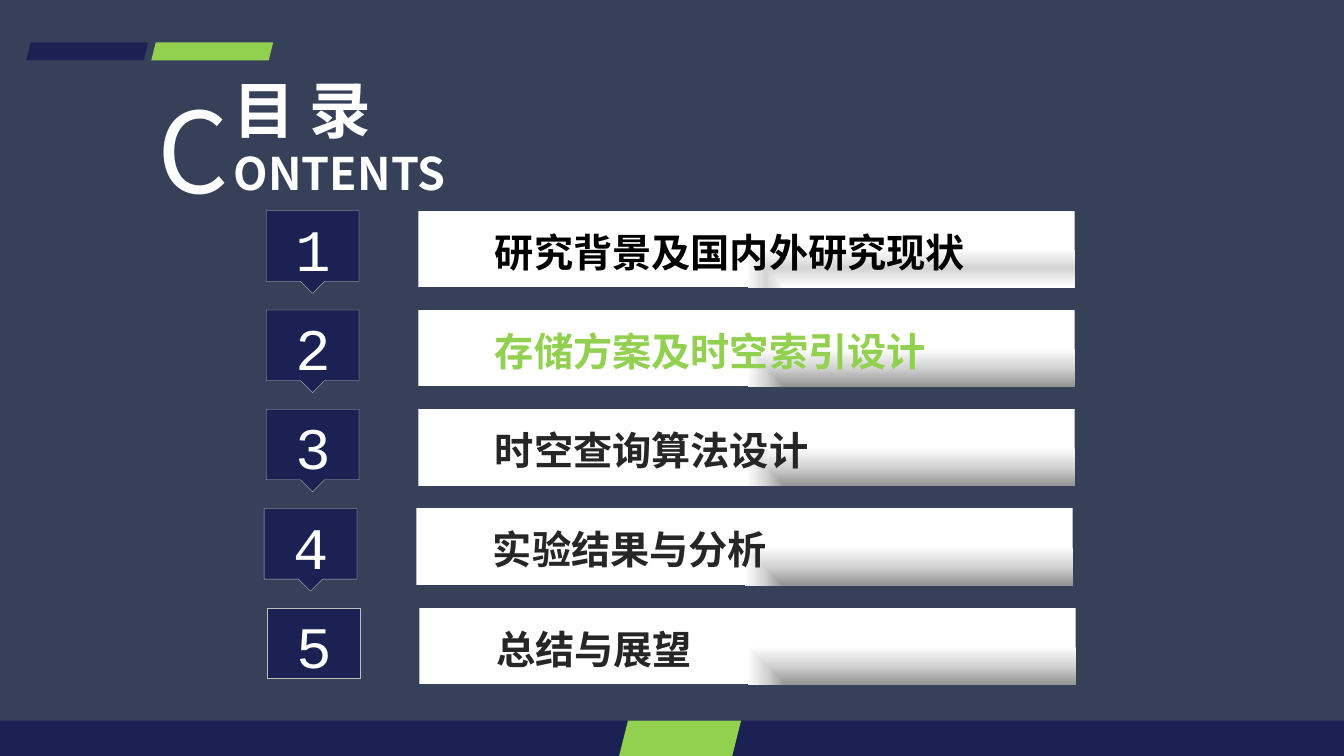
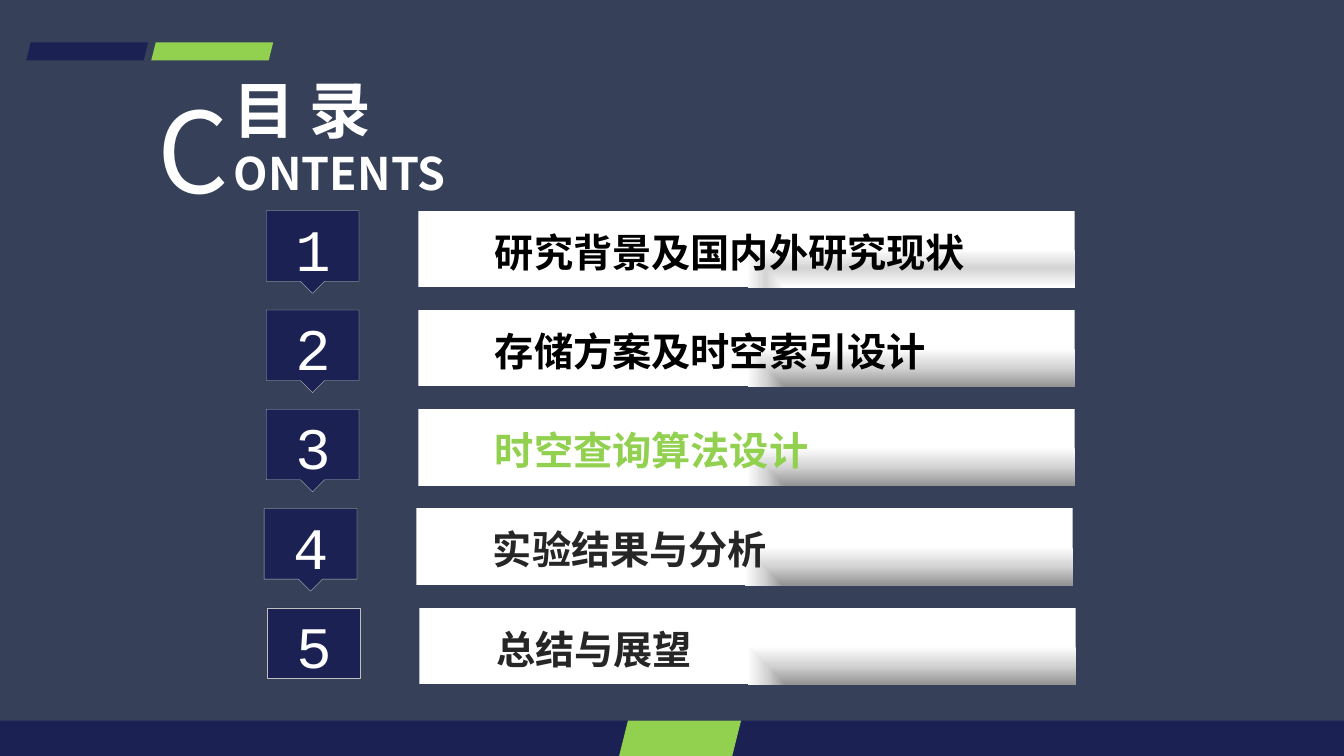
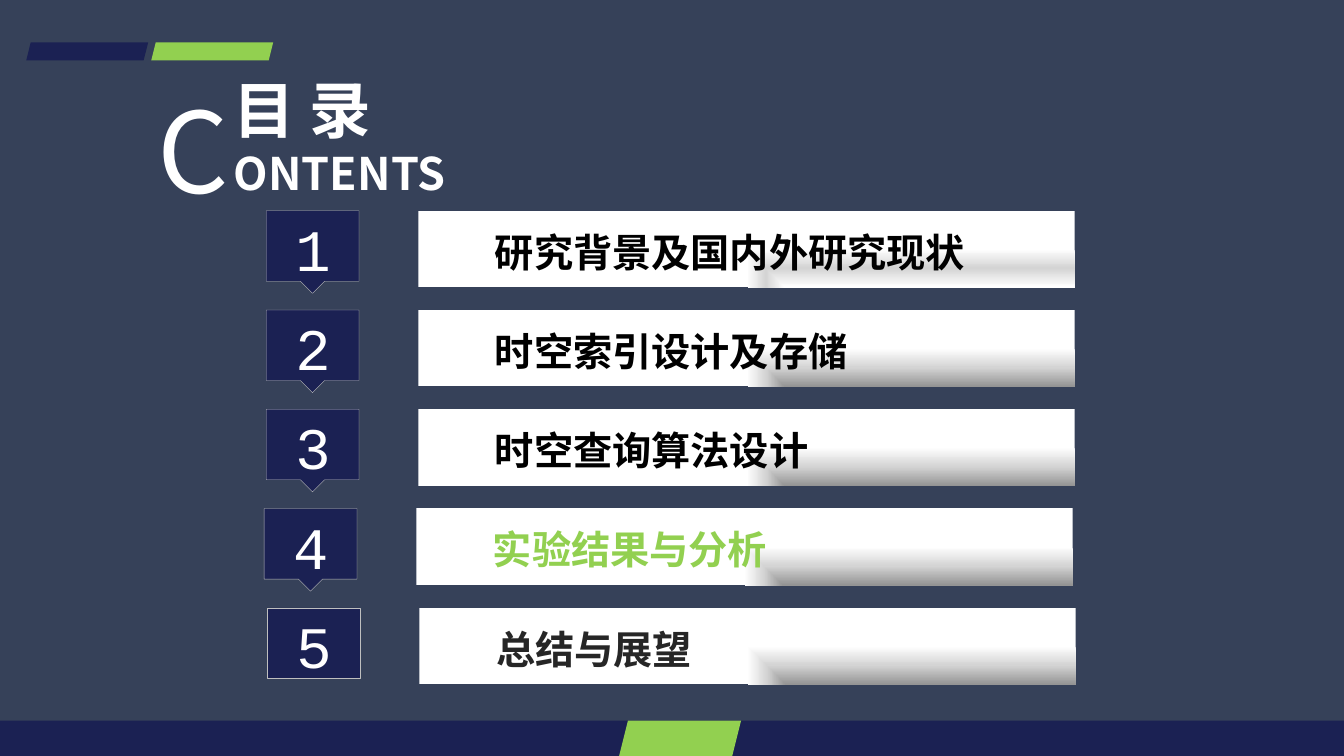
from dataclasses import dataclass

from lxml import etree
from pptx import Presentation
from pptx import util as u
from pptx.dml.color import RGBColor
from pptx.enum import shapes, text
from pptx.oxml import parse_xml
from pptx.oxml.ns import nsdecls, qn


@dataclass(frozen=True)
class Theme:
    back: str = "364159"
    navy: str = "1B2153"
    green: str = "92D050"
    white: str = "FFFFFF"
    past: str = "000000"
    ahead: str = "262626"
    edge: str = "BFBFBF"
    shade: str = "949494"
    mid_shade: str = "D4D4D4"
    font: str = "Noto Sans CJK SC"
    digit_font: str = "Courier New"
    initial: int = 80
    title: int = 44
    subtitle: int = 32
    digit: int = 42
    label: int = 28


@dataclass(frozen=True)
class Box:
    x: float
    y: float
    w: float
    h: float

    def inner(self, dx, dy, w, h):
        """A box of size w by h, offset from this one's corner."""
        return Box(self.x + dx, self.y + dy, w, h)

    def emu(self):
        return [u.Inches(v) for v in (self.x, self.y, self.w, self.h)]


T = Theme()
PAGE = Box(0, 0, 13.33, 7.5)
ROW_H = 0.76
ROW_NUDGES = (0, 0, 0, -0.02, 0.01)
WIDE_INSETS = (0.13, 0.07)
SLANT = 0.25


# Basic parts
def rgb(value):
    return RGBColor.from_string(value)


def paint(sp, fill, line=None):
    sp.shadow.inherit = False
    sp.fill.solid()
    sp.fill.fore_color.rgb = rgb(fill)
    if line:
        sp.line.color.rgb = rgb(line)
        sp.line.width = u.Pt(0.25)
    else:
        sp.line.fill.background()


def add_block(s, box, fill, line=None, slanted=False):
    kind = shapes.MSO_SHAPE.PARALLELOGRAM if slanted else shapes.MSO_SHAPE.RECTANGLE
    sp = s.shapes.add_shape(kind, *box.emu())
    if slanted:
        sp.adjustments[0] = SLANT
    paint(sp, fill, line)
    return sp


def add_text(s, box, words, size, color, font=T.font, bold=False,
             insets=WIDE_INSETS, wrap=True, anchor=text.MSO_ANCHOR.TOP):
    tf = s.shapes.add_textbox(*box.emu()).text_frame
    tf.word_wrap = wrap
    tf.vertical_anchor = anchor
    tf.margin_left = tf.margin_right = u.Inches(insets[0])
    tf.margin_top = tf.margin_bottom = u.Inches(insets[1])
    p = tf.paragraphs[0]
    p.add_run().text = words
    p.font.size, p.font.bold, p.font.name = u.Pt(size), bold, font
    p.font.color.rgb = rgb(color)
    # East Asian glyphs take the same typeface
    props = p._p.pPr.find(qn("a:defRPr"))
    etree.SubElement(props, qn("a:ea")).set("typeface", font)
    return p


def shade_corner(sp, colors):
    """Fill a shape with a gradient that spreads from its lower right corner."""
    stops = "".join(
        f'<a:gs pos="{i * 50000}"><a:srgbClr val="{c}"/></a:gs>'
        for i, c in enumerate(colors))
    grad = parse_xml(
        f'<a:gradFill {nsdecls("a")} rotWithShape="1"><a:gsLst>{stops}</a:gsLst>'
        '<a:path path="rect"><a:fillToRect l="100000" t="100000"/></a:path>'
        '<a:tileRect r="-100000" b="-100000"/></a:gradFill>')
    props = sp._element.spPr
    props.replace(props.find(qn("a:solidFill")), grad)


# Regions
def add_top_marks(s, box):
    mark_w = 1.21
    for dx, color in ((box.w - mark_w, T.green), (0, T.navy)):
        add_block(s, box.inner(dx, 0, mark_w, box.h), color, slanted=True)


def add_footer(s, box):
    add_block(s, box, T.navy)
    add_block(s, box.inner(6.14, 0, 1.21, box.h), T.green, slanted=True)


def add_heading(s, box):
    middle = text.MSO_ANCHOR.MIDDLE
    p = add_text(s, box.inner(0.76, 0, 2.74, box.h), "目 录 ", T.title, T.white,
                 bold=True, anchor=middle)
    r = p.add_run()
    r.text = "ONTENTS"
    r.font.size = u.Pt(T.subtitle)
    add_text(s, box.inner(0, 0.29, 0.85, 0.84), "C", T.initial, T.white, anchor=middle)


def add_number(s, box, number, pointed):
    """A numbered tile, with a tip pointing to the next row if there is one."""
    if pointed:
        mid, tip = box.w / 2, 0.12
        outline = [(box.w, 0), (box.w, box.h), (mid + tip, box.h),
                   (mid, box.h + tip), (mid - tip, box.h), (0, box.h)]
        points = [(u.Inches(box.x + x), u.Inches(box.y + y)) for x, y in outline]
        pen = s.shapes.build_freeform(u.Inches(box.x), u.Inches(box.y))
        pen.add_line_segments(points, close=True)
        paint(pen.convert_to_shape(), T.navy, T.edge)
    else:
        add_block(s, box, T.navy, T.edge)
    add_text(s, box.inner(0.19, -0.03, 0.55, 0.76), str(number), T.digit, T.white,
             font=T.digit_font, insets=(0.1, 0.05), wrap=False)


def add_row(s, box, number, words, color, last):
    add_number(s, box.inner(0, 0, 0.92, 0.7), number, pointed=not last)
    bar = add_block(s, box.inner(1.51, 0, 6.51, box.h), T.white)
    corner = T.white if number == 1 else T.shade
    shade_corner(bar, (corner, T.mid_shade, T.white))
    add_text(s, box.inner(2.14, 0.1, 5.5, 0.61), words, T.label, color, bold=True)


def add_agenda(s, box, topics, current):
    pitch = (box.h - ROW_H) / (len(topics) - 1)
    for number, (words, nudge) in enumerate(zip(topics, ROW_NUDGES), start=1):
        color = (T.green if number == current
                 else T.past if number < current else T.ahead)
        row = box.inner(nudge, (number - 1) * pitch, box.w, ROW_H)
        add_row(s, row, number, words, color, last=number == len(topics))


def add_contents_slide(prs, topics, current):
    s = prs.slides.add_slide(prs.slide_layouts[6])
    s.background.fill.solid()
    s.background.fill.fore_color.rgb = rgb(T.back)
    add_agenda(s, PAGE.inner(2.64, 2.09, 8.02, 4.7), topics, current)
    add_heading(s, PAGE.inner(1.43, 0.77, 3.5, 1.16))
    add_top_marks(s, PAGE.inner(0.26, 0.42, 2.45, 0.18))
    add_footer(s, PAGE.inner(0, 7.15, PAGE.w, 0.35))


def main():
    prs = Presentation()
    prs.slide_width, prs.slide_height = u.Inches(PAGE.w), u.Inches(PAGE.h)
    first = "研究背景及国内外研究现状"
    rest = ["时空查询算法设计", "实验结果与分析", "总结与展望"]
    storage_first, index_first = "存储方案及时空索引设计", "时空索引设计及存储"
    for current, second in ((2, storage_first), (3, storage_first), (4, index_first)):
        add_contents_slide(prs, [first, second, *rest], current)
    prs.save("out.pptx")


if __name__ == "__main__":
    main()
